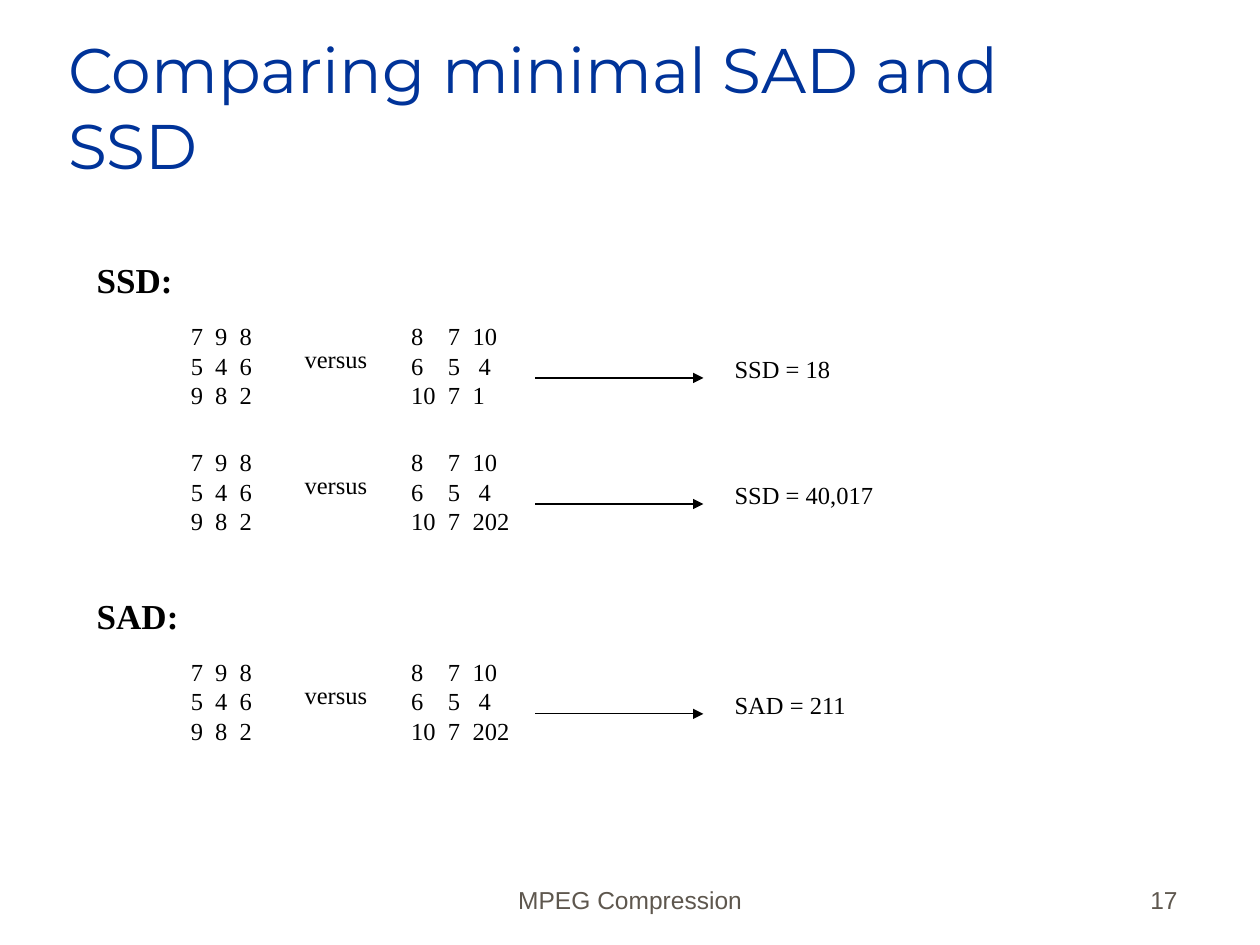
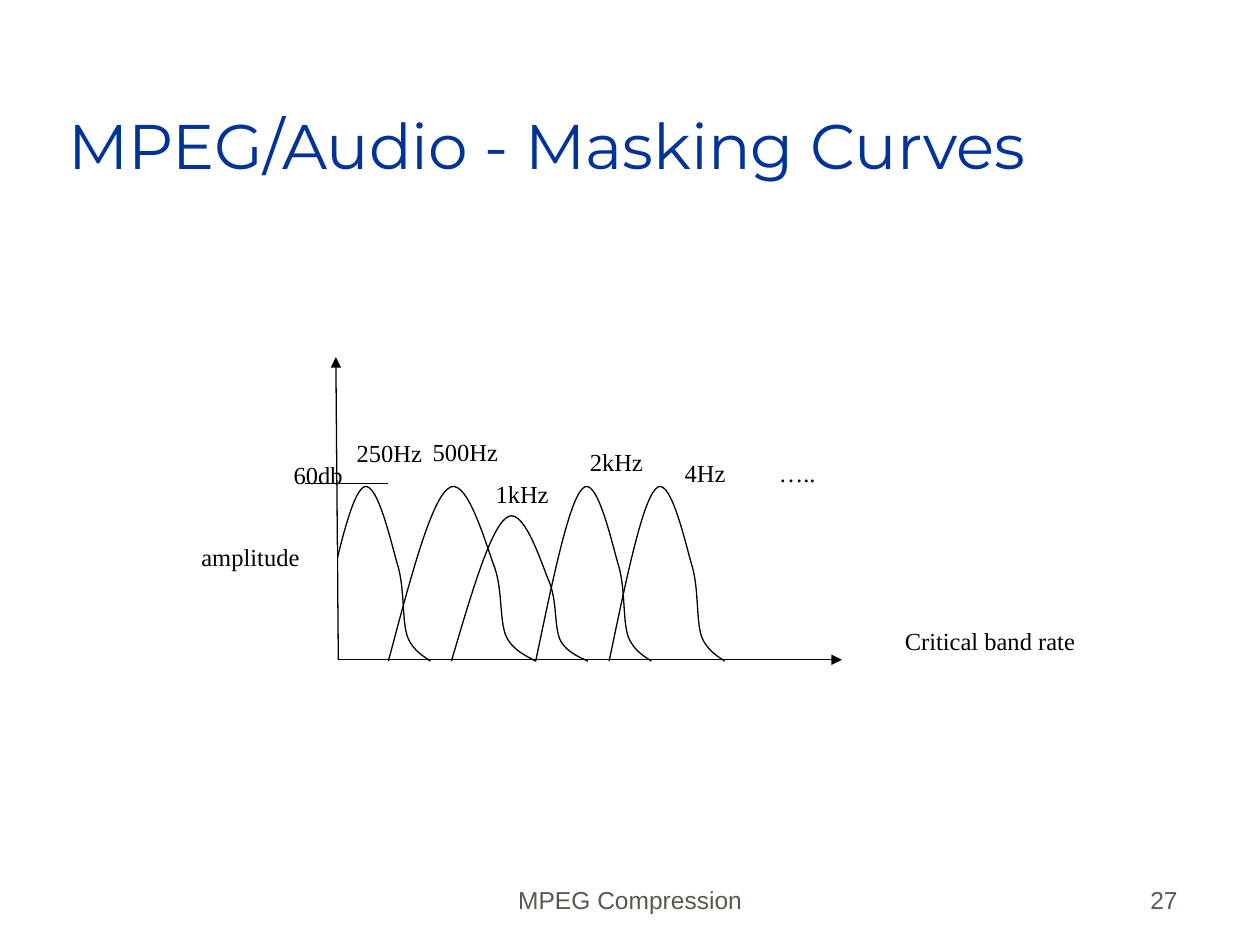
from lxml import etree
from pptx import Presentation
from pptx.dml.color import RGBColor
from pptx.enum.shapes import MSO_CONNECTOR, MSO_SHAPE
from pptx.enum.text import MSO_ANCHOR, MSO_AUTO_SIZE, PP_ALIGN
from pptx.oxml.ns import qn
from pptx.util import Cm, Pt

STRAIGHT = MSO_CONNECTOR.STRAIGHT
RECTANGLE = MSO_SHAPE.RECTANGLE
TOP, BOTTOM = MSO_ANCHOR.TOP, MSO_ANCHOR.BOTTOM
LEFT, CENTER, RIGHT = PP_ALIGN.LEFT, PP_ALIGN.CENTER, PP_ALIGN.RIGHT
FIXED, GROW = MSO_AUTO_SIZE.NONE, MSO_AUTO_SIZE.SHAPE_TO_FIT_TEXT

BLACK, WHITE, BLUE, GREY = "000000", "FFFFFF", "003399", "5E574E"
SERIF, SANS, TITLE_FONT = "Times New Roman", "Arial", "Montserrat"
LINE_WIDTH = Pt(0.75)
TITLE_ONLY = 5

# Start point, then three points for each Bézier segment, as shares of the curve's box
MASKING_PROFILE = [
    (0, 1),
    (0.14, 0.59), (0.28, 0.17), (0.4, 0.09),
    (0.52, 0), (0.65, 0.35), (0.71, 0.48),
    (0.78, 0.61), (0.75, 0.78), (0.8, 0.87),
    (0.85, 0.95), (0.96, 0.98), (1, 1),
]


def rgb(hex_colour):
    return RGBColor.from_string(hex_colour)


def write(frame, text, size=14, font=SERIF, colour=BLACK, bold=False,
          align=LEFT, anchor=TOP, wrap=False, fit=GROW, row_stops=()):
    """Fill a text frame; row_stops holds the tab stops in cm of each line."""
    frame.text = text
    frame.word_wrap, frame.auto_size = wrap, fit
    frame.vertical_anchor = anchor
    for index, paragraph in enumerate(frame.paragraphs):
        if row_stops:
            tabs = etree.SubElement(paragraph._p.get_or_add_pPr(), qn("a:tabLst"))
            for stop in row_stops[index]:
                etree.SubElement(tabs, qn("a:tab"), pos=str(Cm(stop)), algn="l")
        paragraph.alignment = align
        paragraph.font.size = Pt(size)
        paragraph.font.name = font
        paragraph.font.bold = bold
        paragraph.font.color.rgb = rgb(colour)


class Deck:
    """Slides in one style, drawn with lengths in cm."""

    def __init__(self):
        self.presentation = Presentation()
        self.presentation.slide_width = Cm(25.4)
        self.presentation.slide_height = Cm(19.05)
        self.slide = None

    def new_slide(self, heading, number):
        layout = self.presentation.slide_layouts[TITLE_ONLY]
        self.slide = self.presentation.slides.add_slide(layout)
        title = self.slide.shapes.title
        title.left, title.top, title.width, title.height = map(
            Cm, (1.12, 0.63, 21.59, 3.17))
        write(title.text_frame, heading, size=36, font=TITLE_FONT, colour=BLUE,
              anchor=BOTTOM, wrap=True, fit=FIXED)
        for text, left, width, align in (("MPEG Compression", 8.68, 8.05, CENTER),
                                         (str(number), 18.7, 5.29, RIGHT)):
            self.label(text, left, 17.28, width, 1.27, font=SANS, colour=GREY,
                       align=align, anchor=BOTTOM, wrap=True, fit=FIXED)

    def label(self, text, left, top, width, height=0.86, **style):
        box = self.slide.shapes.add_textbox(Cm(left), Cm(top), Cm(width), Cm(height))
        write(box.text_frame, text, **style)

    def line(self, x1, y1, x2, y2, arrow=False):
        connector = self.slide.shapes.add_connector(
            STRAIGHT, Cm(x1), Cm(y1), Cm(x2), Cm(y2))
        connector.line.width = LINE_WIDTH
        connector.line.color.rgb = rgb(BLACK)
        if arrow:
            etree.SubElement(connector.line._get_or_add_ln(), qn("a:tailEnd"),
                             type="triangle")
        etree.SubElement(connector._element.spPr, qn("a:effectLst"))

    def cover(self, left, top, width, height):
        """Hide what lies behind with a white rectangle."""
        patch = self.slide.shapes.add_shape(
            RECTANGLE, Cm(left), Cm(top), Cm(width), Cm(height))
        patch.shadow.inherit = False
        patch.fill.solid()
        patch.fill.fore_color.rgb = rgb(WHITE)
        patch.line.color.rgb = rgb(WHITE)
        patch.line.width = LINE_WIDTH

    def masking_curve(self, left, top, width, floor):
        points = [(Cm(left + width * x), Cm(top + (floor - top) * y))
                  for x, y in MASKING_PROFILE]
        builder = self.slide.shapes.build_freeform(*points[0])
        builder.add_line_segments(points[1:], close=False)
        curve = builder.convert_to_shape()
        outline = curve._element.xpath(".//a:path")[0]
        segments = outline.findall(qn("a:lnTo"))
        for first in range(0, len(segments), 3):
            bezier = etree.SubElement(outline, qn("a:cubicBezTo"))
            for segment in segments[first:first + 3]:
                bezier.append(segment[0])
                outline.remove(segment)
        curve.shadow.inherit = False
        curve.fill.background()
        curve.line.color.rgb = rgb(BLACK)
        curve.line.width = LINE_WIDTH

    def matrix(self, rows, left, top, width, row_stops):
        text = "\n".join("\t".join(map(str, row)) for row in rows)
        self.label(text, left, top, width, 2.03, wrap=True, row_stops=row_stops)

    def comparison(self, top, last_value, result, result_width):
        """Draw one row: block, candidate block, arrow and resulting measure."""
        self.matrix([(7, 9, 8), (5, 4, 6), (9, 8, 2)], 3.6, top, 1.85,
                    [(0.49, 0.98)] * 3)
        self.label("versus", 5.89, top + 0.46, 1.8)
        self.matrix([(8, 7, 10), (6, 5, 4), (10, 7, last_value)], 8.04, top, 2.54,
                    [(0.74, 1.24), (0.74, 1.36), (0.74, 1.24)])
        self.line(10.79, top + 1.27, 14.18, top + 1.27, arrow=True)
        self.label(result, 14.56, top + 0.66, result_width)


def minimal_sad_and_ssd(deck):
    deck.new_slide("Comparing minimal SAD and SSD", 17)
    for measure, top, width in (("SSD:", 5.08, 2.1), ("SAD:", 11.86, 2.2)):
        deck.label(measure, 1.7, top, width, 1.12, size=20, bold=True)
    for row in ((6.35, 1, "SSD = 18", 2.48),
                (8.89, 202, "SSD = 40,017", 3.34),
                (13.12, 202, "SAD = 211", 2.81)):
        deck.comparison(*row)


def masking_curves(deck):
    deck.new_slide("MPEG/Audio - Masking Curves", 27)
    origin_x, origin_y = 6.82, 13.3
    deck.line(origin_x, origin_y, 6.77, 7.2, arrow=True)
    deck.line(origin_x, origin_y, 16.97, origin_y, arrow=True)
    for left, top, width in ((7.83, 9.52, 2.97), (6.35, 9.52, 2.33),
                             (9.1, 10.16, 2.75), (10.8, 9.52, 2.33),
                             (12.28, 9.52, 2.33)):
        deck.masking_curve(left, top, width, floor=13.33)
    deck.cover(6.15, 11, 0.64, 2.54)
    deck.line(6.15, 9.74, 7.83, 9.74)
    for text, left, top, width in (("amplitude", 3.81, 10.8, 2.53),
                                   ("Critical band rate", 17.99, 12.5, 3.98),
                                   ("60db", 5.67, 9.14, 1.54),
                                   ("250Hz", 6.94, 8.71, 1.87),
                                   ("500Hz", 8.47, 8.69, 1.87),
                                   ("1kHz", 9.74, 9.53, 1.63),
                                   ("2kHz", 11.64, 8.89, 1.63),
                                   ("4Hz", 13.55, 9.1, 1.38),
                                   ("…..", 15.45, 9.1, 1.3)):
        deck.label(text, left, top, width)


def main():
    deck = Deck()
    minimal_sad_and_ssd(deck)
    masking_curves(deck)
    deck.presentation.save("out.pptx")


if __name__ == "__main__":
    main()
